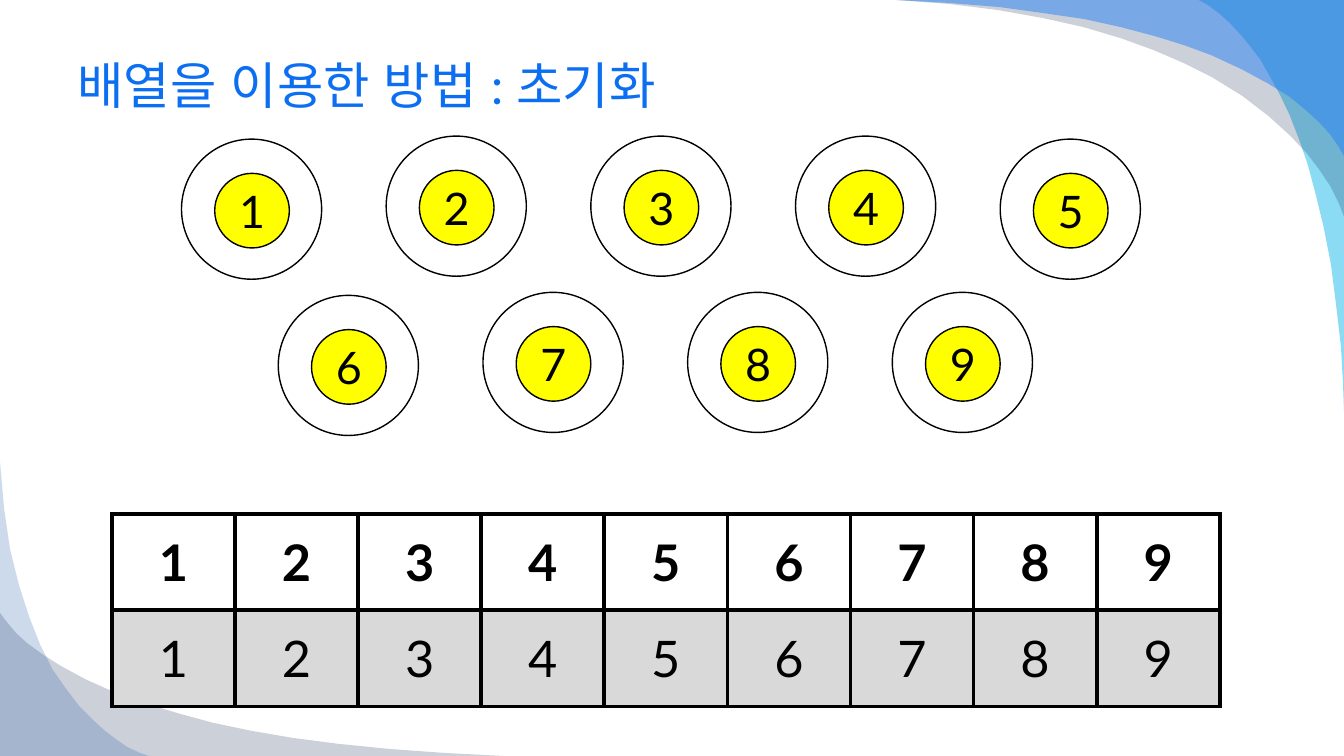
from lxml import etree
from pptx import Presentation
from pptx.dml.color import RGBColor
from pptx.enum import lang, shapes, text
from pptx.oxml import ns
from pptx.util import Inches, Pt

FONT = "Lato"
BLACK = RGBColor(0x00, 0x00, 0x00)
WHITE = RGBColor(0xFF, 0xFF, 0xFF)
YELLOW = RGBColor(0xFF, 0xFF, 0x00)
GREY = RGBColor(0xD9, 0xD9, 0xD9)
TITLE_BLUE = RGBColor(0x0C, 0x6F, 0xF2)
CYAN = RGBColor(0x00, 0xB1, 0xE9)
NAVY = RGBColor(0x02, 0x17, 0x41)
SKY = RGBColor(0x24, 0x7F, 0xF4)
DEEP_BLUE = RGBColor(0x08, 0x4A, 0xA1)

# Each wave: colour, opacity in percent, outline starting at a slide corner
WAVES = [
    (CYAN, 45, [
        (13.33, 0), (11.89, 0), (11.98, 0.05), (12.1, 0.14), (12.2, 0.23),
        (12.31, 0.35), (12.4, 0.46), (12.5, 0.59), (12.59, 0.75), (12.69, 0.93),
        (12.79, 1.14), (12.88, 1.37), (12.97, 1.63), (13.05, 1.93), (13.13, 2.26),
        (13.2, 2.62), (13.25, 3.01), (13.3, 3.44), (13.32, 3.8), (13.33, 4.08)]),
    (NAVY, 20, [
        (13.33, 0), (13.33, 2.15), (13.28, 2.02), (13.19, 1.84), (13.09, 1.69),
        (12.96, 1.52), (12.79, 1.34), (12.58, 1.15), (12.32, 0.95), (12.01, 0.76),
        (11.75, 0.63), (11.45, 0.5), (11.12, 0.38), (10.75, 0.27), (10.35, 0.18),
        (9.9, 0.1), (9.42, 0.04), (8.89, 0)]),
    (SKY, 49, [
        (13.33, 0), (13.33, 1.55), (13.28, 1.46), (13.19, 1.33), (13.09, 1.22),
        (12.96, 1.1), (12.79, 0.96), (12.58, 0.83), (12.32, 0.69), (12.02, 0.55),
        (11.75, 0.45), (11.46, 0.36), (11.12, 0.27), (10.76, 0.19), (10.35, 0.13),
        (9.91, 0.07), (9.42, 0.03), (8.89, 0)]),
    (NAVY, 20, [
        (0, 7.5), (0, 6.08), (0.06, 6.16), (0.16, 6.28), (0.27, 6.38),
        (0.42, 6.49), (0.61, 6.61), (0.85, 6.74), (1.14, 6.87), (1.48, 6.99),
        (1.78, 7.08), (2.11, 7.17), (2.49, 7.25), (2.9, 7.32), (3.36, 7.38),
        (3.86, 7.43), (4.41, 7.47), (5, 7.5)]),
    (DEEP_BLUE, 20, [
        (0, 7.5), (1.48, 7.5), (1.39, 7.47), (1.26, 7.41), (1.16, 7.34),
        (1.04, 7.25), (0.92, 7.14), (0.79, 7.01), (0.66, 6.84), (0.52, 6.64),
        (0.4, 6.4), (0.29, 6.12), (0.19, 5.81), (0.1, 5.45), (0.04, 5.04),
        (0, 4.58)]),
]

# Left edge of the row, and the top of each ring in it
RING_ROWS = [
    (1.8, [1.38, 1.35, 1.35, 1.35, 1.38]),
    (2.76, [2.93, 2.9, 2.9, 2.9]),
]
RING_STEP = 2.03
RING_SIZE = 1.39
CORE_SIZE = 0.74
CORE_DX, CORE_DY = 0.33, 0.34

TABLE_LEFT, TABLE_TOP = 1.11, 5.1
TABLE_WIDTH, TABLE_HEIGHT = 10.99, 1.91
NUMBERS = range(1, 10)


def add_run(p, words, size, color, bold=False):
    r = p.add_run()
    r.text = words
    r.font.name = FONT
    r.font.size = Pt(size)
    r.font.bold = bold
    r.font.color.rgb = color
    return r


def add_wave(s, color, opacity, points):
    builder = s.shapes.build_freeform(
        Inches(points[0][0]), Inches(points[0][1]))
    builder.add_line_segments(
        [(Inches(x), Inches(y)) for x, y in points[1:]], close=True)
    sp = builder.convert_to_shape()
    sp.shadow.inherit = False
    sp.fill.solid()
    sp.fill.fore_color.rgb = color
    sp.line.fill.background()
    tint = sp.fill._xPr.find(ns.qn("a:solidFill"))[0]
    etree.SubElement(tint, ns.qn("a:alpha"), val=str(opacity * 1000))


def add_title(s, words):
    sp = s.shapes.add_textbox(Inches(0.67), Inches(0.33), Inches(12), Inches(1.01))
    tf = sp.text_frame
    tf.word_wrap = True
    tf.vertical_anchor = text.MSO_ANCHOR.MIDDLE
    r = add_run(tf.paragraphs[0], words, 36, TITLE_BLUE)
    r.font.language_id = lang.MSO_LANGUAGE_ID.KOREAN


def add_circle(s, left, top, size, color):
    sp = s.shapes.add_shape(
        shapes.MSO_SHAPE.OVAL, Inches(left), Inches(top), Inches(size), Inches(size))
    sp.shadow.inherit = False
    sp.fill.solid()
    sp.fill.fore_color.rgb = color
    sp.line.color.rgb = BLACK
    sp.line.width = Pt(1)
    return sp


def add_ring(s, left, top, number):
    add_circle(s, left, top, RING_SIZE, WHITE)
    core = add_circle(s, left + CORE_DX, top + CORE_DY, CORE_SIZE, YELLOW)
    tf = core.text_frame
    tf.vertical_anchor = text.MSO_ANCHOR.MIDDLE
    p = tf.paragraphs[0]
    p.alignment = text.PP_ALIGN.CENTER
    add_run(p, str(number), 32, BLACK)


def add_borders(cell, points):
    tcPr = cell._tc.get_or_add_tcPr()
    for side in ("lnL", "lnR", "lnT", "lnB"):
        ln = etree.SubElement(tcPr, ns.qn(f"a:{side}"), w=str(Pt(points)))
        fill = etree.SubElement(ln, ns.qn("a:solidFill"))
        etree.SubElement(fill, ns.qn("a:srgbClr"), val=str(BLACK))


def add_array_table(s):
    table = s.shapes.add_table(
        2, len(NUMBERS), Inches(TABLE_LEFT), Inches(TABLE_TOP),
        Inches(TABLE_WIDTH), Inches(TABLE_HEIGHT)).table
    table.first_row = False
    table.horz_banding = False
    for row, (color, bold) in enumerate([(WHITE, True), (GREY, False)]):
        for col, number in enumerate(NUMBERS):
            cell = table.cell(row, col)
            add_borders(cell, 3)
            cell.fill.solid()
            cell.fill.fore_color.rgb = color
            cell.vertical_anchor = text.MSO_ANCHOR.MIDDLE
            p = cell.text_frame.paragraphs[0]
            p.alignment = text.PP_ALIGN.CENTER
            add_run(p, str(number), 36, BLACK, bold)


def main():
    prs = Presentation()
    prs.slide_width = Inches(13.33)
    prs.slide_height = Inches(7.5)
    s = prs.slides.add_slide(prs.slide_layouts[6])

    # Corner waves
    for color, opacity, points in WAVES:
        add_wave(s, color, opacity, points)

    add_title(s, "배열을 이용한 방법 : 초기화")

    # Numbered rings, counted through both rows
    number = 0
    for left, tops in RING_ROWS:
        for i, top in enumerate(tops):
            number += 1
            add_ring(s, left + i * RING_STEP, top, number)

    # Array: index above, value below
    add_array_table(s)

    prs.save("out.pptx")


if __name__ == "__main__":
    main()
